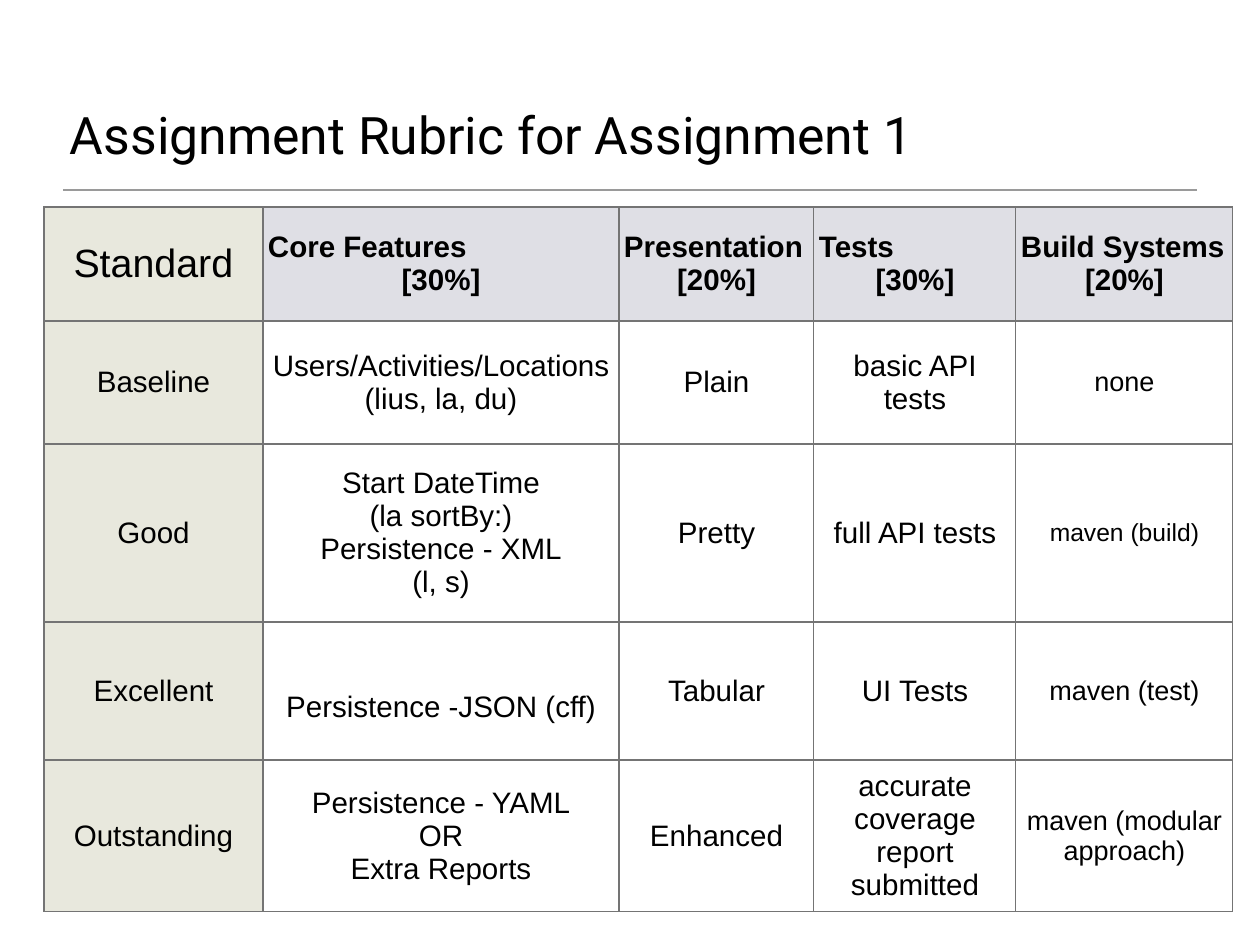
from pptx import Presentation
from pptx.dml.color import RGBColor
from pptx.enum.shapes import MSO_CONNECTOR
from pptx.enum.text import MSO_ANCHOR, PP_ALIGN
from pptx.oxml import parse_xml
from pptx.oxml.ns import nsdecls
from pptx.util import Pt

PX = 10320  # EMU in one px
PAD = 5
LINE = 33  # height of a line of 24 pt text

BLACK = RGBColor(0x00, 0x00, 0x00)
RULE = RGBColor(0x9A, 0x9A, 0x9A)
GRID = RGBColor(0x74, 0x74, 0x74)
SAGE = RGBColor(0xE8, 0xE8, 0xDD)
LILAC = RGBColor(0xDF, 0xDF, 0xE5)

COLS = [219, 356, 195, 202, 217]
ROWS = [114, 123, 178, 138, 144]
RUBRIC = [
    ["Standard", "Core Features\n[30%]", "Presentation\n[20%]",
     "Tests\n[30%]", "Build Systems\n[20%]"],
    ["Baseline", "Users/Activities/Locations\n(lius, la, du)", "Plain",
     "basic API tests", "none"],
    ["Good", "Start DateTime\n(la sortBy:)\nPersistence - XML\n(l, s)", "Pretty",
     "full API tests", "maven (build)"],
    ["Excellent", "Persistence -JSON (cff)", "Tabular",
     "UI Tests", "maven (test)"],
    ["Outstanding", "Persistence - YAML\nOR\nExtra Reports", "Enhanced",
     "accurate coverage report submitted", "maven (modular approach)"],
]
# Text sizes that differ from 24 pt, by row and column
SIZES = {(0, 0): 32, (1, 4): 22, (2, 4): 20, (3, 4): 22, (4, 4): 22}


def px(*nums):
    return [round(num * PX) for num in nums]


def set_pads(part):
    pad = PAD * PX
    part.margin_left = part.margin_right = pad
    part.margin_top = part.margin_bottom = pad


def set_font(para, name, size, bold=False):
    font = para.font
    font.name, font.size, font.bold = name, Pt(size), bold
    font.color.rgb = BLACK


def add_title(slide, left, top, width, height):
    box = slide.shapes.add_textbox(*px(left, top, width, height))
    frame = box.text_frame
    frame.word_wrap = True
    frame.vertical_anchor = MSO_ANCHOR.BOTTOM
    set_pads(frame)
    frame.text = "Assignment Rubric for Assignment 1"
    set_font(frame.paragraphs[0], "Roboto", 42)

    # Rule below the title
    y = top + height + 20
    rule = slide.shapes.add_connector(
        MSO_CONNECTOR.STRAIGHT, *px(left - 2, y, left + 1132, y))
    rule.line.color.rgb = RULE
    rule.line.width = Pt(1)
    rule._element.spPr.append(parse_xml(f"<a:effectLst {nsdecls('a')}/>"))


def set_edges(cell):
    props = cell._tc.get_or_add_tcPr()
    for spot, side in enumerate(("lnL", "lnR", "lnT", "lnB")):
        props.insert(spot, parse_xml(
            f'<a:{side} {nsdecls("a")} w="{Pt(1)}"><a:solidFill>'
            f'<a:srgbClr val="{GRID}"/></a:solidFill></a:{side}>'))


def fill_cell(cell, row, col):
    head = row == 0 and col > 0
    cell.vertical_anchor = MSO_ANCHOR.MIDDLE
    set_pads(cell)
    if head or col == 0:
        cell.fill.solid()
        cell.fill.fore_color.rgb = LILAC if head else SAGE
    else:
        cell.fill.background()
    set_edges(cell)

    cell.text = RUBRIC[row][col]
    for para in cell.text_frame.paragraphs:
        para.alignment = PP_ALIGN.CENTER
        set_font(para, "Arial", SIZES.get((row, col), 24), head)
    if head:
        cell.text_frame.paragraphs[0].alignment = PP_ALIGN.LEFT


def add_rubric(slide, left, top):
    frame = slide.shapes.add_table(
        len(ROWS), len(COLS), *px(left, top, sum(COLS), sum(ROWS)))
    table = frame.table
    table.first_row = table.horz_banding = False
    for col, width in zip(table.columns, px(*COLS)):
        col.width = width
    for row, height in zip(table.rows, px(*ROWS)):
        row.height = height
    for row in range(len(ROWS)):
        for col in range(len(COLS)):
            fill_cell(table.cell(row, col), row, col)
    # This entry sits half a line below the middle
    table.cell(3, 1).margin_top = (PAD + LINE) * PX


def main():
    deck = Presentation()
    deck.slide_width, deck.slide_height = px(1260, 945)
    slide = deck.slides.add_slide(deck.slide_layouts[6])
    add_title(slide, 65, 54, 1020, 116)
    add_rubric(slide, 44, 207)
    deck.save("out.pptx")


if __name__ == "__main__":
    main()
